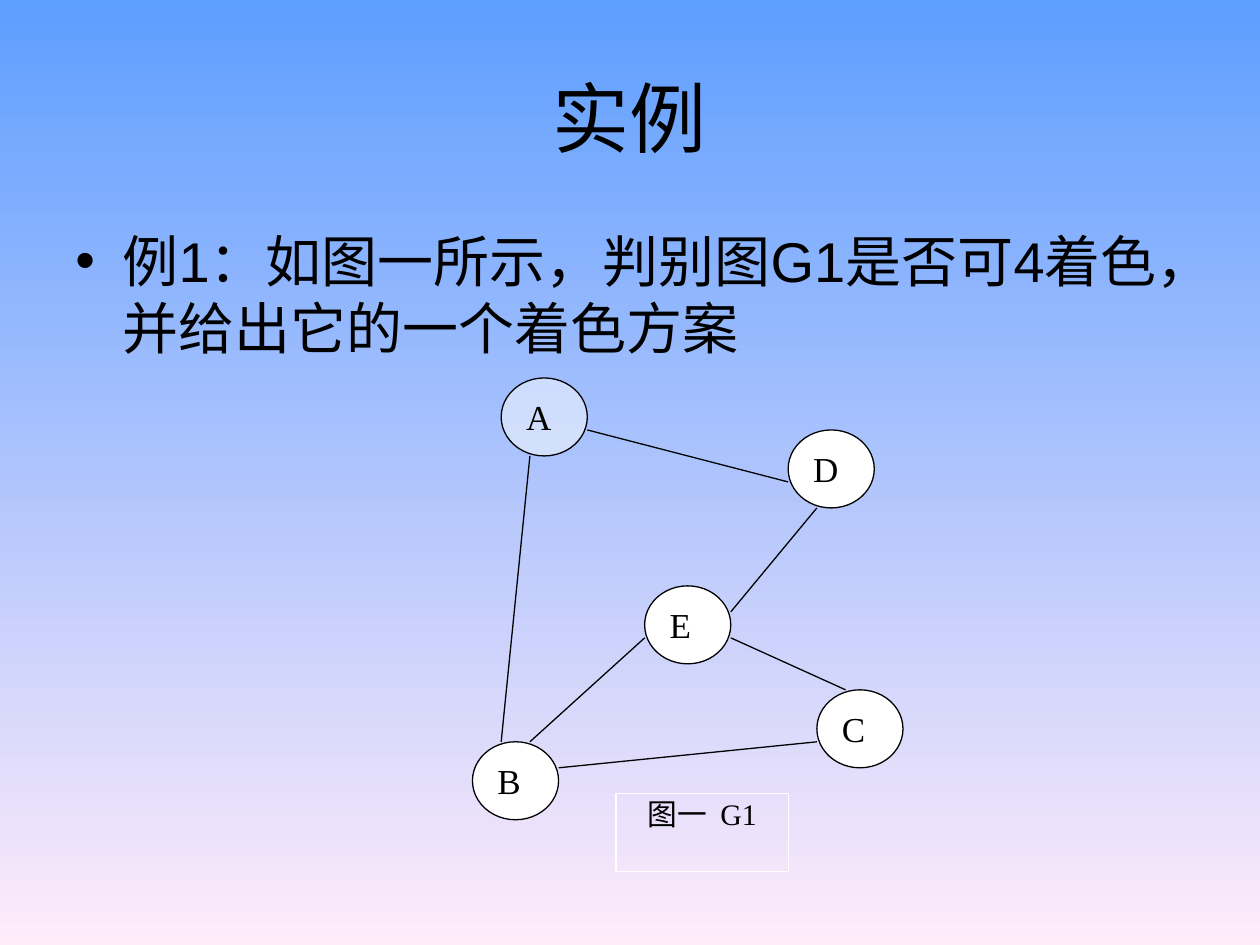
from lxml import etree
from pptx import Presentation
from pptx.dml.color import RGBColor
from pptx.enum.shapes import MSO_CONNECTOR, MSO_SHAPE
from pptx.enum.text import MSO_ANCHOR, PP_ALIGN
from pptx.oxml.ns import qn
from pptx.util import Pt

OVAL, RECT = MSO_SHAPE.OVAL, MSO_SHAPE.RECTANGLE
STRAIGHT = MSO_CONNECTOR.STRAIGHT
TOP, MIDDLE = MSO_ANCHOR.TOP, MSO_ANCHOR.MIDDLE
CENTER, JUSTIFY, LEFT = PP_ALIGN.CENTER, PP_ALIGN.JUSTIFY, PP_ALIGN.LEFT

BLACK = RGBColor(0x00, 0x00, 0x00)
WHITE = RGBColor(0xFF, 0xFF, 0xFF)
SKY = RGBColor(0x5E, 0x9E, 0xFF)
PINK = RGBColor(0xFF, 0xEB, 0xFA)

GRID_LEFT, GRID_TOP = 270, 216
COL, ROW = 16.4, 14.85
NODE = 3

NODES = {"A": (1, 0), "E": (6, 8), "D": (11, 2), "C": (12, 12), "B": (0, 14)}
EDGES = [
    ("A", (1, 3), "B", (1, 0)),
    ("B", (3, 1), "C", (0, 2)),
    ("B", (2, 0), "E", (0, 2)),
    ("E", (3, 2), "C", (1, 0)),
    ("E", (3, 1), "D", (1, 3)),
    ("A", (3, 2), "D", (0, 2)),
]


def grid(col, row):
    return Pt(GRID_LEFT + col * COL), Pt(GRID_TOP + row * ROW)


class Deck:
    heading_font = "Arial"
    label_font = "Times New Roman"
    line_width = Pt(0.75)

    def __init__(self, prs):
        self.slide = prs.slides.add_slide(prs.slide_layouts[5])
        self.shapes = self.slide.shapes

    def background(self, start, end):
        fill = self.slide.background.fill
        fill.gradient()
        fill.gradient_angle = 270
        for stop, color, position in zip(fill.gradient_stops, (start, end), (0, 1)):
            stop.color.rgb = color
            stop.position = position

    def set_text(self, tf, text, font, size, align, anchor):
        tf.text = text
        tf.word_wrap = True
        tf.vertical_anchor = anchor
        p = tf.paragraphs[0]
        p.alignment = align
        r = p.runs[0]
        r.font.name = font
        r.font.size = Pt(size)
        r.font.color.rgb = BLACK
        return p

    def title(self, text, x, y, w, h):
        sp = self.slide.shapes.title
        sp.left, sp.top, sp.width, sp.height = Pt(x), Pt(y), Pt(w), Pt(h)
        self.set_text(sp.text_frame, text, self.heading_font, 44, CENTER, MIDDLE)

    def bullet(self, text, x, y, w, h):
        tf = self.slide.shapes.add_textbox(Pt(x), Pt(y), Pt(w), Pt(h)).text_frame
        p = self.set_text(tf, text, self.heading_font, 32, LEFT, TOP)
        pPr = p._p.get_or_add_pPr()
        pPr.set("marL", str(Pt(27)))
        pPr.set("indent", str(-Pt(27)))
        etree.SubElement(pPr, qn("a:buFont"), typeface=self.heading_font)
        etree.SubElement(pPr, qn("a:buChar"), char="•")

    def group(self):
        self.shapes = self.slide.shapes.add_group_shape().shapes

    def box(self, kind, col, row, cols, line):
        sp = self.shapes.add_shape(kind, *grid(col, row), Pt(cols * COL), Pt(NODE * ROW))
        sp.shadow.inherit = False
        sp.line.color.rgb = line
        sp.line.width = self.line_width
        return sp

    def node(self, name, alpha=None):
        sp = self.box(OVAL, *NODES[name], NODE, BLACK)
        sp.fill.solid()
        sp.fill.fore_color.rgb = WHITE
        if alpha:
            color = sp._element.spPr.find(qn("a:solidFill"))[0]
            etree.SubElement(color, qn("a:alpha"), val=str(alpha * 1000))
        self.set_text(sp.text_frame, name, self.label_font, 20, JUSTIFY, TOP)

    def edge(self, start, start_offset, end, end_offset):
        ends = [
            grid(NODES[name][0] + dx, NODES[name][1] + dy)
            for name, (dx, dy) in ((start, start_offset), (end, end_offset))
        ]
        line = self.shapes.add_connector(STRAIGHT, *ends[0], *ends[1])
        line.line.color.rgb = BLACK
        line.line.width = self.line_width
        etree.SubElement(line._element.spPr, qn("a:effectLst"))

    def caption(self, text, col, row, cols):
        sp = self.box(RECT, col, row, cols, WHITE)
        sp.fill.background()
        p = self.set_text(sp.text_frame, text, self.label_font, 17, CENTER, TOP)
        p.line_spacing = 0.9


def main():
    prs = Presentation()
    prs.slide_width, prs.slide_height = Pt(720), Pt(540)
    deck = Deck(prs)
    deck.background(SKY, PINK)
    deck.title("实例", 36, 21.6, 648, 90)
    deck.bullet("例1：如图一所示，判别图G1是否可4着色，并给出它的一个着色方案", 36, 126, 648, 356.4)
    deck.group()
    for name in NODES:
        deck.node(name, alpha=49 if name == "A" else None)
    for edge in EDGES:
        deck.edge(*edge)
    deck.caption("图一  G1", 5, 16, 6)
    prs.save("out.pptx")


if __name__ == "__main__":
    main()
